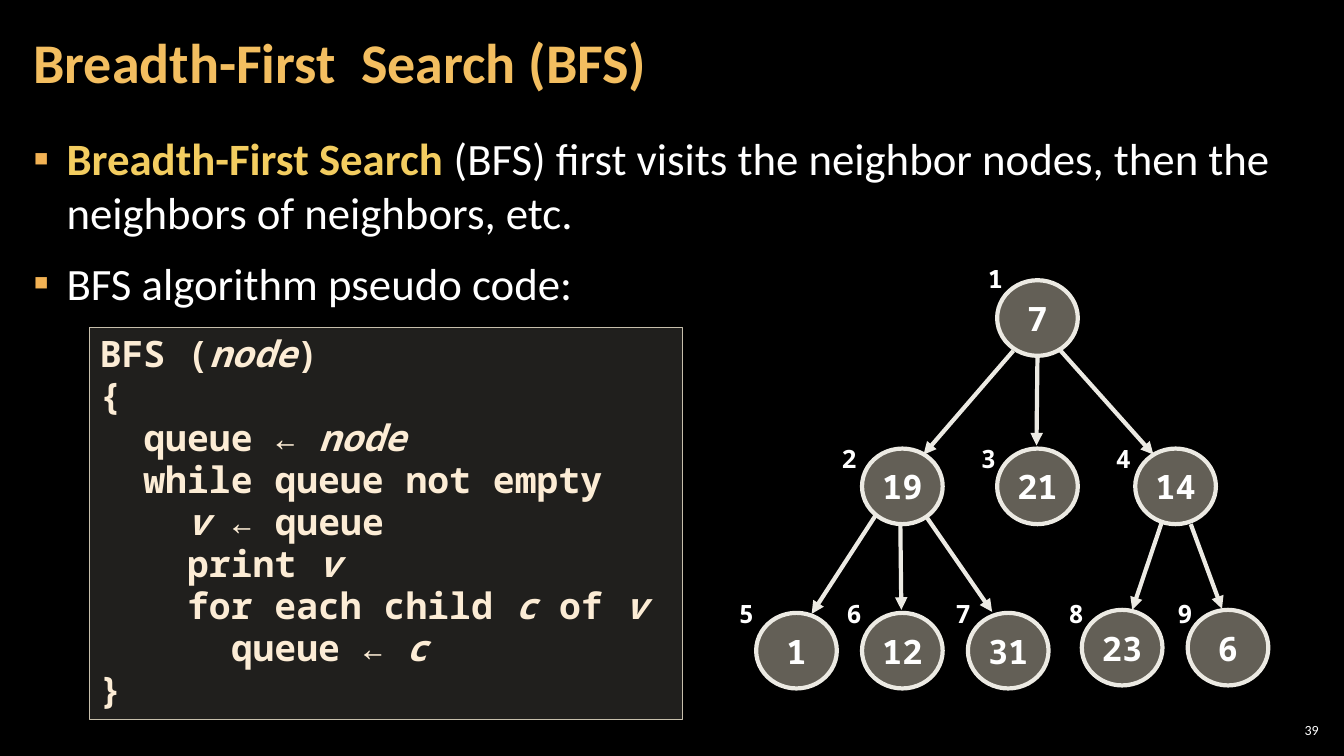
from dataclasses import dataclass

from lxml import etree
from pptx import Presentation
from pptx.dml.color import RGBColor
from pptx.enum.shapes import MSO_CONNECTOR, MSO_SHAPE
from pptx.enum.text import MSO_ANCHOR, MSO_AUTO_SIZE, PP_ALIGN
from pptx.oxml.ns import qn
from pptx.util import Inches, Pt

LEFT, CENTER, RIGHT = PP_ALIGN.LEFT, PP_ALIGN.CENTER, PP_ALIGN.RIGHT
TOP, MIDDLE = MSO_ANCHOR.TOP, MSO_ANCHOR.MIDDLE
NONE, GROW = MSO_AUTO_SIZE.NONE, MSO_AUTO_SIZE.SHAPE_TO_FIT_TEXT
RECT, OVAL = MSO_SHAPE.RECTANGLE, MSO_SHAPE.OVAL
STRAIGHT = MSO_CONNECTOR.STRAIGHT


@dataclass(frozen=True)
class Theme:
    back: str = "000000"
    white: str = "FFFFFF"
    gold: str = "F3BE60"
    key: str = "F3CD60"
    mark: str = "F2B254"
    code: str = "FCECD5"
    panel: str = "D9D5C7"
    stone: str = "C7BFAC"
    edge: str = "ECEAE3"
    sans: str = "Calibri"
    mono: str = "Noto Sans Mono"
    title_pt: int = 40
    body_pt: int = 32
    code_pt: int = 26
    node_pt: int = 24
    step_pt: int = 18
    page_pt: int = 10


theme = Theme()


def write(shape, text, size, color=theme.white, font=theme.mono, bold=True,
          italic=False, key=None, align=LEFT, anchor=TOP, wrap=True,
          fit=NONE, space=None, pad=(0.1, 0.05)):
    """Fill a shape with text; parts between asterisks are italic, or take the key colour."""
    frame = shape.text_frame
    frame.word_wrap, frame.auto_size, frame.vertical_anchor = wrap, fit, anchor
    frame.margin_left = frame.margin_right = Inches(pad[0])
    frame.margin_top = frame.margin_bottom = Inches(pad[1])
    for row, line in enumerate(text.split("\n")):
        para = frame.paragraphs[0] if row == 0 else frame.add_paragraph()
        para.alignment, para.line_spacing = align, space
        for part, words in enumerate(line.split("*")):
            if not words:
                continue
            marked = part % 2 == 1
            run = para.add_run()
            run.text = words
            run.font.name, run.font.size = font, Pt(size)
            run.font.bold = bold or (marked and key is not None)
            run.font.italic = marked and italic
            run.font.color.rgb = RGBColor.from_string(key if marked and key else color)
    return frame


def paint(shape, fill, alpha, line, width):
    """Give a shape a see-through fill, an outline and no shadow."""
    shape.shadow.inherit = False
    shape.fill.solid()
    shape.fill.fore_color.rgb = RGBColor.from_string(fill)
    tint = shape.fill._xPr.find(".//" + qn("a:srgbClr"))
    etree.SubElement(tint, qn("a:alpha"), val=str(alpha * 1000))
    shape.line.color.rgb = RGBColor.from_string(line)
    shape.line.width = Pt(width)


deck = Presentation()
deck.slide_width, deck.slide_height = Inches(13.33), Inches(7.5)
slide = deck.slides.add_slide(deck.slide_layouts[1])
slide.background.fill.solid()
slide.background.fill.fore_color.rgb = RGBColor.from_string(theme.back)
shapes = slide.shapes

# Title and bullets
title, body = slide.placeholders
title.left, title.top = Inches(0.21), Inches(0.04)
title.width, title.height = Inches(10.47), Inches(1.21)
write(title, "Breadth-First  Search (BFS)", theme.title_pt, theme.gold, theme.sans,
      anchor=MIDDLE, space=0.9, pad=(0.12, 0.04))

body.left, body.top = Inches(0.21), Inches(1.26)
body.width, body.height = Inches(12.91), Inches(6.09)
points = write(
    body,
    "*Breadth-First Search *(BFS) first visits the neighbor nodes, "
    "then the neighbors of neighbors, etc.\n"
    "BFS algorithm pseudo code:",
    theme.body_pt, font=theme.sans, bold=False, key=theme.key, pad=(0.12, 0.04))
for para in points.paragraphs:
    para.space_before = para.space_after = Pt(6)
    props = para._p.get_or_add_pPr()
    props.set("marL", str(Inches(0.33)))
    props.set("indent", str(-Inches(0.33)))
    tint = etree.SubElement(props, qn("a:buClr"))
    etree.SubElement(tint, qn("a:srgbClr"), val=theme.mark)
    etree.SubElement(props, qn("a:buFont"), typeface=theme.sans)
    etree.SubElement(props, qn("a:buChar"), char="▪")

page = shapes.add_textbox(Inches(12.65), Inches(7.14), Inches(0.47), Inches(0.21))
write(page, "39", theme.page_pt, font=theme.sans, bold=False, align=RIGHT,
      anchor=MIDDLE, pad=(0.04, 0.04))

# Pseudo code
CODE = """BFS (*node*)
{
  queue ← *node*
  while queue not empty
    *v *← queue
    print *v*
    for each child *c* of *v*
      queue ← *c*
}"""
panel = shapes.add_shape(RECT, Inches(0.89), Inches(3.25), Inches(5.88), Inches(3.89))
paint(panel, theme.panel, 15, theme.stone, 1)
write(panel, CODE, theme.code_pt, theme.code, italic=True, fit=GROW, space=Pt(30))

# Tree arrows: start x, y and end x, y
ARROWS = [
    (10.05, 3.48, 9.16, 4.51), (10.29, 3.53, 10.28, 4.42), (10.52, 3.48, 11.44, 4.51),
    (8.68, 5.12, 8.05, 6.09), (8.93, 5.22, 8.94, 6.05), (9.19, 5.13, 9.84, 6.07),
    (11.52, 5.19, 11.23, 6.05), (11.81, 5.2, 12.12, 6.04),
]
for ends in ARROWS:
    arrow = shapes.add_connector(STRAIGHT, *[Inches(end) for end in ends])
    arrow.line.color.rgb = RGBColor.from_string(theme.edge)
    arrow.line.width = Pt(3)
    etree.SubElement(arrow.line._get_or_add_ln(), qn("a:tailEnd"), type="triangle")
    etree.SubElement(arrow._element.spPr, qn("a:effectLst"))

# Tree nodes in visiting order: value, left, top, then left and top of the step number
NODES = [
    (7, 9.89, 2.78, 9.7, 2.56),
    (19, 8.55, 4.45, 8.25, 4.35), (21, 9.89, 4.45, 9.63, 4.35), (14, 11.26, 4.45, 10.97, 4.35),
    (1, 7.5, 6.08, 7.23, 5.89), (12, 8.55, 6.08, 8.3, 5.89), (31, 9.6, 6.08, 9.38, 5.89),
    (23, 10.73, 6.05, 10.5, 5.89), (6, 11.78, 6.05, 11.58, 5.89),
]
for step, (value, left, top, step_left, step_top) in enumerate(NODES, 1):
    node = shapes.add_shape(OVAL, Inches(left), Inches(top), Inches(0.8), Inches(0.75))
    paint(node, theme.stone, 50, theme.edge, 3)
    write(node, str(value), theme.node_pt, align=CENTER, anchor=MIDDLE, wrap=False)
    label = shapes.add_textbox(Inches(step_left), Inches(step_top), Inches(0.34), Inches(0.42))
    write(label, str(step), theme.step_pt, wrap=False, fit=GROW)

deck.save("out.pptx")
